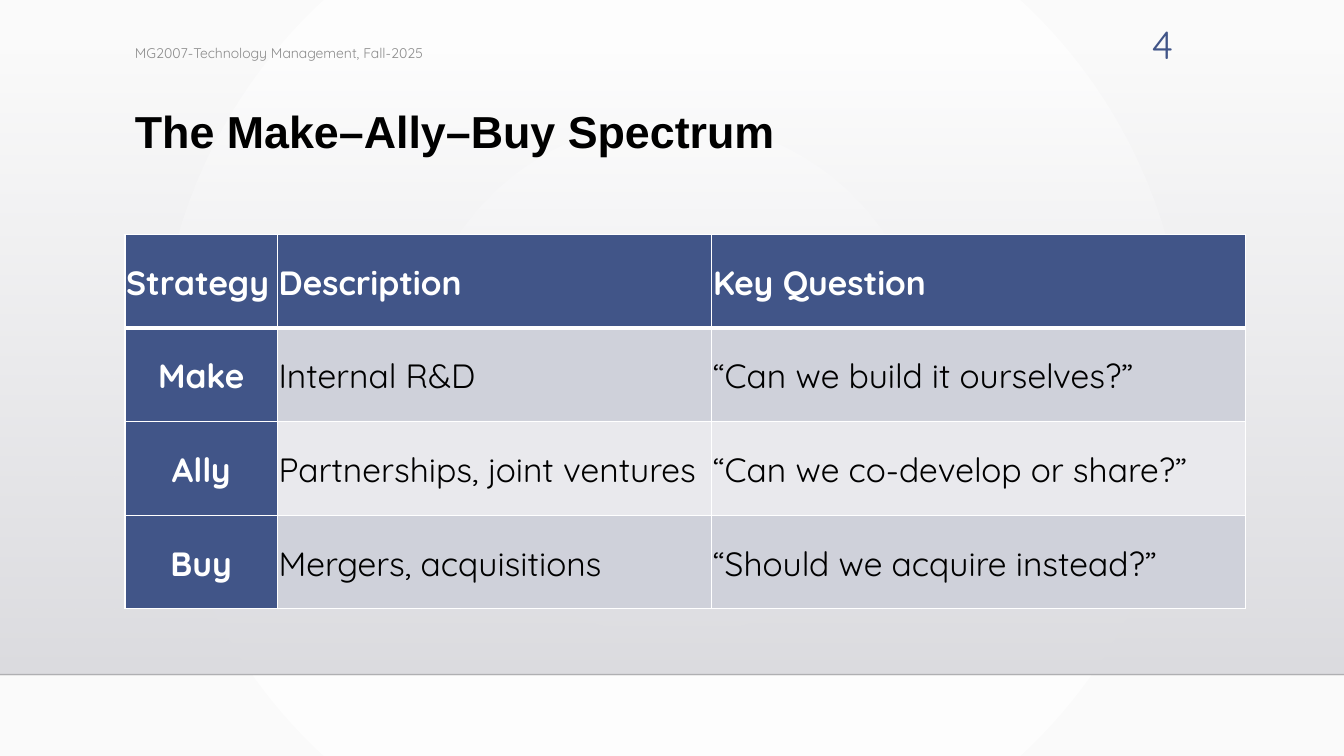
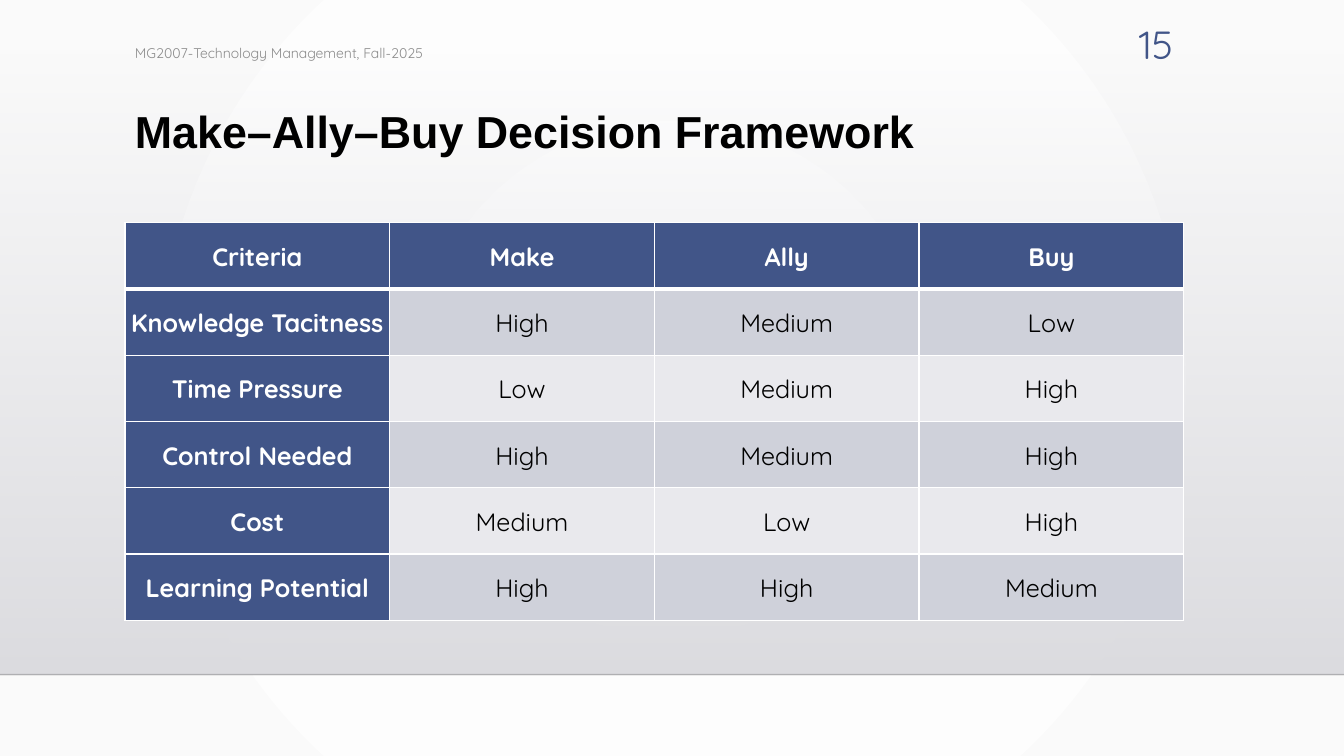
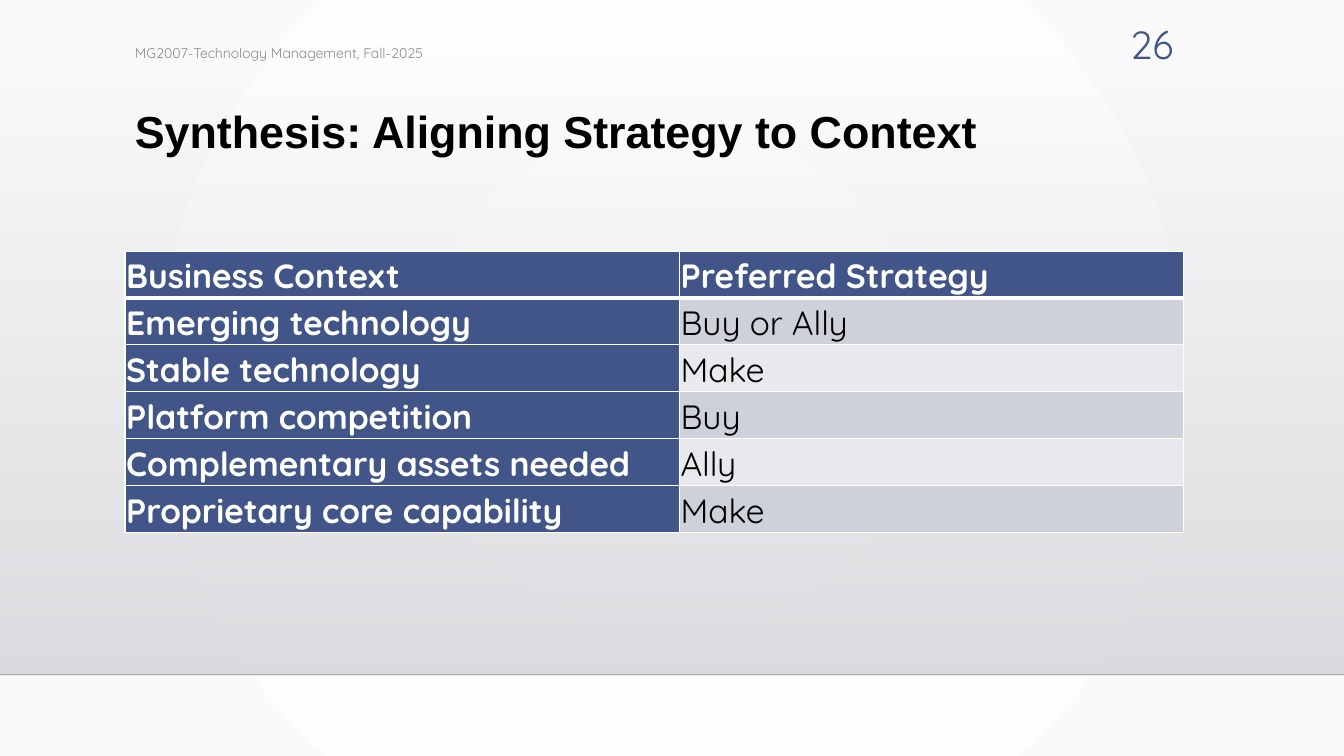
from pptx import Presentation
from pptx.dml.color import RGBColor
from pptx.enum.shapes import MSO_CONNECTOR, MSO_SHAPE
from pptx.enum.text import MSO_ANCHOR, PP_ALIGN
from pptx.oxml import parse_xml
from pptx.oxml.ns import nsdecls, qn
from pptx.util import Cm, Pt
from lxml import etree

LINE = MSO_CONNECTOR.STRAIGHT
RECT = MSO_SHAPE.RECTANGLE
TOP, MIDDLE = MSO_ANCHOR.TOP, MSO_ANCHOR.MIDDLE
LEFT, CENTER, RIGHT = PP_ALIGN.LEFT, PP_ALIGN.CENTER, PP_ALIGN.RIGHT

WHITE = RGBColor(0xFF, 0xFF, 0xFF)
PAPER = RGBColor(0xFA, 0xFA, 0xFA)
MIST = RGBColor(0xDC, 0xDC, 0xE0)
HAZE = RGBColor(0xDE, 0xDE, 0xE2)
BLACK = RGBColor(0, 0, 0)
INK = RGBColor(0, 0, 1)
GREY = RGBColor(0x8C, 0x8C, 0x8C)
BLUE = RGBColor(0x41, 0x55, 0x88)
DARK = RGBColor(0xCF, 0xD1, 0xDA)
LIGHT = RGBColor(0xE9, 0xE9, 0xED)

WIDE, HIGH = 33.87, 19.05
EDGE = 3.15
FLOOR = 17
COURSE = "MG2007-Technology Management, Fall-2025"


def put(frame, text, size=24, font="Quicksand", color=BLACK, bold=False,
        align=LEFT, space=None, after=None):
    frame.word_wrap = True
    para = frame.paragraphs[0]
    para.alignment = align
    para.line_spacing = space
    para.space_after = None if after is None else Pt(after)
    run = para.add_run()
    run.text = text
    run.font.size = Pt(size)
    run.font.name = font
    run.font.color.rgb = color
    run.font.bold = bold


def blend(fill, *colors):
    fill.gradient()
    for stop, color in zip(fill.gradient_stops, colors):
        stop.color.rgb = color


def clear(item, value):
    color = next(item.element.iter(qn("a:srgbClr")))
    etree.SubElement(color, qn("a:alpha")).set("val", str(value * 1000))


def border(cell, side, width):
    cell._tc.get_or_add_tcPr().append(parse_xml(
        f'<a:ln{side} {nsdecls("a")} w="{Pt(width)}"><a:solidFill>'
        f'<a:srgbClr val="{WHITE}"/></a:solidFill></a:ln{side}>'))


class Deck:
    def __init__(self):
        self.show = Presentation()
        self.show.slide_width = Cm(WIDE)
        self.show.slide_height = Cm(HIGH)
        self.slide = None
        self.ground()

    def ground(self):
        master = self.show.slide_master
        blend(master.background.fill, WHITE, PAPER)
        grad = next(master.element.iter(qn("a:gradFill")))
        grad.remove(grad.find(qn("a:lin")))
        grad.append(parse_xml(
            f'<a:path {nsdecls("a")} path="circle"><a:fillToRect '
            'l="50000" t="50000" r="50000" b="50000"/></a:path>'))

    def page(self, title, number):
        self.slide = self.show.slides.add_slide(self.show.slide_layouts[6])
        self.band()
        self.rule()
        self.text(title, EDGE, 2.64, 28.17, 2.08, size=32, font="Arial",
                  bold=True, space=0.9)
        self.text(COURSE, EDGE, 0.91, 16.5, 0.86, anchor=MIDDLE, size=10,
                  color=GREY)
        self.text(str(number), 27.56, 0.38, 2.26, 1.4, size=28, color=BLUE,
                  align=RIGHT)

    def band(self):
        top = 1.3
        band = self.slide.shapes.add_shape(
            RECT, 0, Cm(top), Cm(WIDE), Cm(FLOOR - top))
        band.shadow.inherit = False
        band.line.fill.background()
        blend(band.fill, MIST, HAZE)
        band.fill.gradient_angle = 270
        clear(band, 0)

    def rule(self):
        rule = self.slide.shapes.add_connector(
            LINE, 0, Cm(FLOOR), Cm(WIDE), Cm(FLOOR))
        rule.line.width = Pt(1)
        rule.line.color.rgb = INK
        clear(rule, 20)
        etree.SubElement(rule.element.spPr, qn("a:effectLst"))

    def text(self, text, left, top, width, height, anchor=TOP, **style):
        box = self.slide.shapes.add_textbox(
            Cm(left), Cm(top), Cm(width), Cm(height))
        box.text_frame.vertical_anchor = anchor
        put(box.text_frame, text, **style)

    def table(self, rows, top, widths, height, size=24, side=LEFT, rest=LEFT):
        table = self.slide.shapes.add_table(
            len(rows), len(widths), Cm(EDGE), Cm(top),
            Cm(sum(widths)), Cm(height * len(rows))).table
        for column, width in zip(table.columns, widths):
            column.width = Cm(width)
        for r, row in enumerate(rows):
            table.rows[r].height = Cm(height)
            for c, text in enumerate(row):
                head = r == 0 or c == 0
                self.cell(table.cell(r, c), text, r, head, size=size,
                          align=side if r and c == 0 else rest)

    def cell(self, cell, text, r, head, **style):
        cell.vertical_anchor = MIDDLE
        cell.margin_left = cell.margin_right = Cm(0.03)
        cell.margin_top = cell.margin_bottom = Cm(0.03)
        for side, width in (("L", 1), ("R", 1), ("T", 3 if r == 1 else 1),
                            ("B", 3 if r == 0 else 1)):
            border(cell, side, width)
        cell.fill.solid()
        cell.fill.fore_color.rgb = BLUE if head else DARK if r % 2 else LIGHT
        put(cell.text_frame, text, color=WHITE if head else BLACK, bold=head,
            space=1.07, after=8, **style)


def main():
    deck = Deck()

    deck.page("The Make–Ally–Buy Spectrum", 4)
    deck.table([
        ("Strategy", "Description", "Key Question"),
        ("Make", "Internal R&D", "“Can we build it ourselves?”"),
        ("Ally", "Partnerships, joint ventures",
         "“Can we co-develop or share?”"),
        ("Buy", "Mergers, acquisitions", "“Should we acquire instead?”"),
    ], 5.9, (3.84, 10.95, 13.44), 2.36, side=CENTER)

    deck.page("Make–Ally–Buy Decision Framework", 15)
    deck.table([
        ("Criteria", "Make", "Ally", "Buy"),
        ("Knowledge Tacitness", "High", "Medium", "Low"),
        ("Time Pressure", "Low", "Medium", "High"),
        ("Control Needed", "High", "Medium", "High"),
        ("Cost", "Medium", "Low", "High"),
        ("Learning Potential", "High", "High", "Medium"),
    ], 5.61, (6.67,) * 4, 1.67, size=18, side=CENTER, rest=CENTER)

    deck.page("Synthesis: Aligning Strategy to Context", 26)
    deck.table([
        ("Business Context", "Preferred Strategy"),
        ("Emerging technology", "Buy or Ally"),
        ("Stable technology", "Make"),
        ("Platform competition", "Buy"),
        ("Complementary assets needed", "Ally"),
        ("Proprietary core capability", "Make"),
    ], 6.33, (13.97, 12.7), 1.18)

    deck.show.save("out.pptx")


if __name__ == "__main__":
    main()
